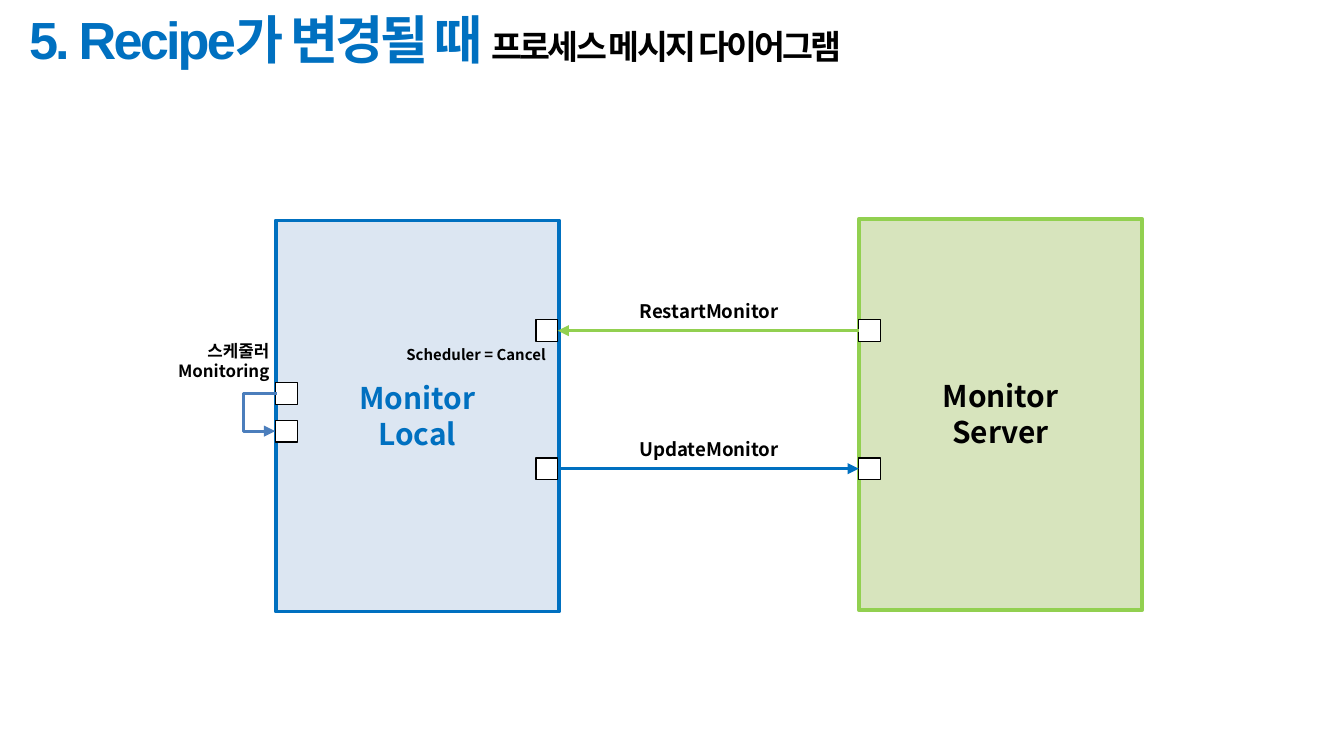
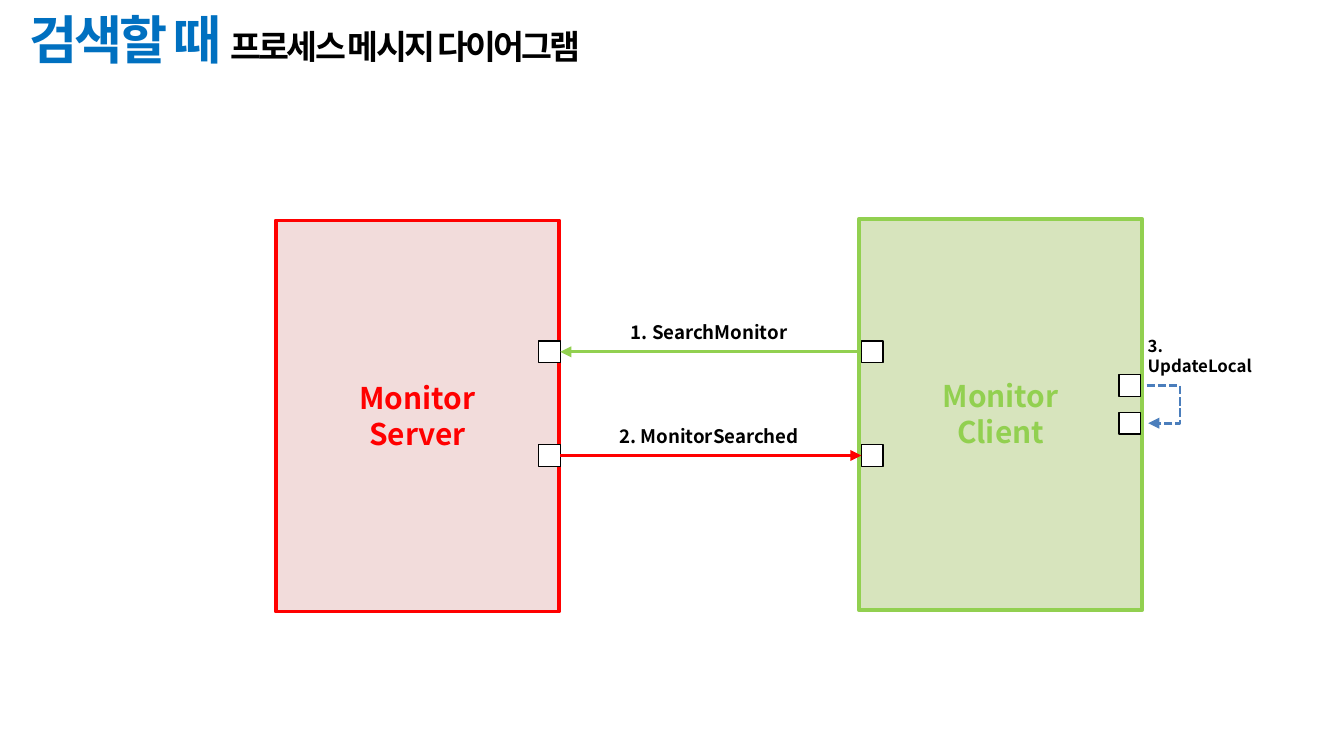
from collections import namedtuple

from lxml import etree
from pptx import Presentation
from pptx.dml.color import RGBColor
from pptx.enum import dml, shapes, text
from pptx.oxml import ns
from pptx.util import Cm, Pt

C = {
    "blue": "0070C0", "pale_blue": "DCE6F2",
    "green": "92D050", "pale_green": "D7E4BD",
    "red": "FF0000", "pale_red": "F2DCDB",
    "loop": "4B7EBC", "black": "000000", "white": "FFFFFF",
}
FONT = "Noto Sans CJK KR"
TITLE_FONT = "Arial"
SUBTITLE = "프로세스 메시지 다이어그램"
PORT = 0.41
PORT_INSET = 0.44
LOOP_DROP = 0.71
LOOP_REACH = 0.63
LOOP_STEP = 0.03

Box = namedtuple("Box", "x y w h")
TITLE = Box(0.3, 0.1, 24.8, 1.45)
LEFT = Box(5.21, 4.17, 5.36, 7.39)
RIGHT = Box(16.23, 4.14, 5.36, 7.39)


def rgb(name):
    return RGBColor.from_string(C[name])


def add_rect(s, box, fill, line, width):
    sp = s.shapes.add_shape(shapes.MSO_SHAPE.RECTANGLE, *map(Cm, box))
    sp.shadow.inherit = False
    sp.fill.solid()
    sp.fill.fore_color.rgb = rgb(fill)
    sp.line.color.rgb = rgb(line)
    sp.line.width = Pt(width)
    return sp


def add_label(s, box, lines, size, color="black", align=text.PP_ALIGN.CENTER, wrap=True):
    tf = s.shapes.add_textbox(*map(Cm, box)).text_frame
    tf.word_wrap = wrap
    tf.text = "\n".join(lines)
    for p in tf.paragraphs:
        p.alignment = align
        p.font.name = FONT
        p.font.size = Pt(size)
        p.font.bold = True
        p.font.color.rgb = rgb(color)


def style_arrow(cx, color):
    cx.line.color.rgb = rgb(color)
    cx.line.width = Pt(1.5)
    etree.SubElement(cx.line._get_or_add_ln(), ns.qn("a:tailEnd"), type="triangle")
    etree.SubElement(cx._element.spPr, ns.qn("a:effectLst"))


def add_title(s, box, heading):
    tf = s.shapes.add_textbox(*map(Cm, box)).text_frame
    tf.word_wrap = True
    tf.vertical_anchor = text.MSO_ANCHOR.MIDDLE
    tf.margin_top, tf.margin_bottom = Cm(0.2), Cm(0.4)
    p = tf.paragraphs[0]
    p.font.name = TITLE_FONT
    p.font.bold = True
    for words, size, color in ((heading + " ", 28, "blue"), (SUBTITLE, 18, "black")):
        r = p.add_run()
        r.text = words
        r.font.size = Pt(size)
        r.font.color.rgb = rgb(color)
        rPr = r._r.get_or_add_rPr()
        rPr.set("spc", "-150")
        etree.SubElement(rPr, ns.qn("a:ea"), typeface=FONT)


def add_panel(s, box, lines, fill, line, color):
    add_rect(s, box, fill, line, 2)
    w, h = 2.72, 1.63
    name = Box(box.x + (box.w - w) / 2, box.y + (box.h - h) / 2, w, h)
    add_label(s, name, lines, 16, color, wrap=False)


def add_port(s, x, mid):
    return add_rect(s, Box(x, mid - PORT / 2, PORT, PORT), "white", "black", 0.75)


def add_message(s, mid, words, color, to_left, shift=0):
    edge = LEFT.x + LEFT.w
    left = add_port(s, edge - PORT_INSET + shift, mid)
    right = add_port(s, RIGHT.x + shift, mid)
    cx = s.shapes.add_connector(shapes.MSO_CONNECTOR.STRAIGHT, 0, 0, 0, 0)
    if to_left:
        cx.begin_connect(right, 1)
        cx.end_connect(left, 3)
    else:
        cx.begin_connect(left, 3)
        cx.end_connect(right, 1)
    style_arrow(cx, color)
    add_label(s, Box(edge, mid - 0.71, RIGHT.x - edge, 0.69), [words], 10)


def add_self_loop(s, port_x, start_x, mid, side, dashed=False):
    for y in (mid, mid + LOOP_DROP):
        add_port(s, port_x, y)
    cx = s.shapes.add_connector(
        shapes.MSO_CONNECTOR.ELBOW, Cm(start_x), Cm(mid),
        Cm(start_x + side * LOOP_STEP), Cm(mid + LOOP_DROP))
    guides = cx._element.spPr.prstGeom.get_or_add_avLst()
    bend = round(LOOP_REACH / LOOP_STEP * 100000)
    etree.SubElement(guides, ns.qn("a:gd"), name="adj1", fmla=f"val {bend}")
    if dashed:
        cx.line.dash_style = dml.MSO_LINE.SQUARE_DOT
    style_arrow(cx, "loop")


def recipe_slide(s):
    add_title(s, TITLE, "5. Recipe가 변경될 때")
    add_panel(s, RIGHT, ["Monitor", "Server"], "pale_green", "green", "black")
    add_panel(s, LEFT, ["Monitor", "Local"], "pale_blue", "blue", "blue")
    add_message(s, 6.25, "RestartMonitor", "green", to_left=True)
    add_message(s, 8.86, "UpdateMonitor", "blue", to_left=False)
    add_label(s, Box(LEFT.x, 6.4, LEFT.w, 0.61), ["Scheduler = Cancel"], 8,
              align=text.PP_ALIGN.RIGHT)
    add_self_loop(s, LEFT.x, LEFT.x + 0.02, 7.44, side=-1)
    add_label(s, Box(LEFT.x - 2.11, 6.32, 2.24, 1.02), ["스케줄러", "Monitoring"], 9,
              align=text.PP_ALIGN.RIGHT, wrap=False)


def search_slide(s):
    edge = RIGHT.x + RIGHT.w
    add_title(s, TITLE, "검색할 때")
    add_panel(s, RIGHT, ["Monitor", "Client"], "pale_green", "green", "green")
    add_panel(s, LEFT, ["Monitor", "Server"], "pale_red", "red", "red")
    add_message(s, 6.65, "1. SearchMonitor", "green", to_left=True, shift=0.05)
    add_message(s, 8.61, "2. MonitorSearched", "red", to_left=False, shift=0.05)
    add_self_loop(s, edge - PORT_INSET, edge + 0.08, 7.29, side=1, dashed=True)
    add_label(s, Box(edge - 0.15, 6.22, 2.79, 0.64), ["3. UpdateLocal"], 9,
              align=text.PP_ALIGN.LEFT)


def main():
    prs = Presentation()
    prs.slide_width, prs.slide_height = Cm(25.4), Cm(14.29)
    for build in (recipe_slide, search_slide):
        build(prs.slides.add_slide(prs.slide_layouts[6]))
    prs.save("out.pptx")


if __name__ == "__main__":
    main()
